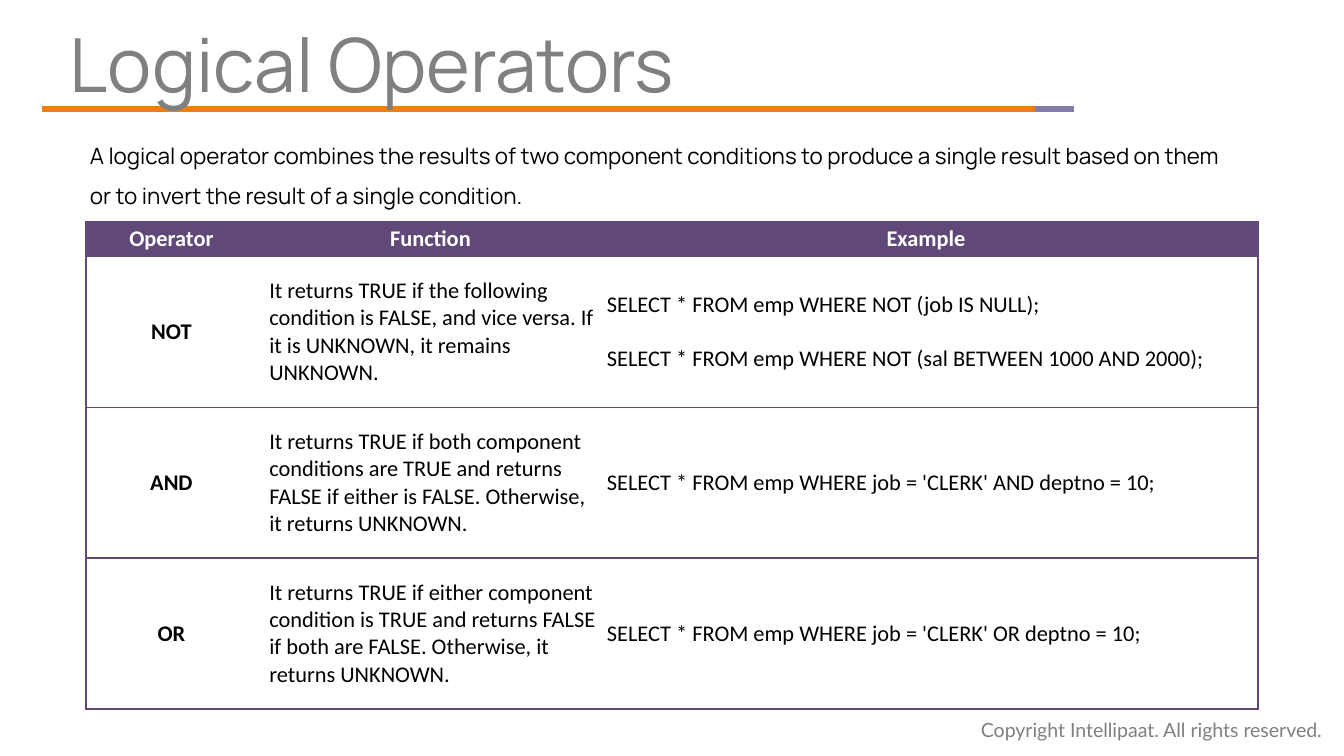
import pptx
import pptx.dml.color
import pptx.enum.shapes
import pptx.enum.text
import pptx.oxml
import pptx.oxml.ns
import pptx.util

Cm = pptx.util.Cm
Pt = pptx.util.Pt
RGBColor = pptx.dml.color.RGBColor
Align = pptx.enum.text.PP_ALIGN
Anchor = pptx.enum.text.MSO_ANCHOR
Fit = pptx.enum.text.MSO_AUTO_SIZE

BLACK = RGBColor(0x00, 0x00, 0x00)
WHITE = RGBColor(0xFF, 0xFF, 0xFF)
GREY = RGBColor(0x80, 0x80, 0x80)
ORANGE = RGBColor(0xF0, 0x7F, 0x09)
LILAC = RGBColor(0x82, 0x7C, 0xA8)
PURPLE = RGBColor(0x60, 0x48, 0x78)


def write(frame, text, font="Calibri", size=12, color=BLACK, bold=False,
          align=Align.LEFT, spacing=1.0, gap=0):
    for i, line in enumerate(text.split("\n")):
        para = frame.add_paragraph() if i else frame.paragraphs[0]
        para.alignment = align
        para.line_spacing = spacing
        para.space_before = Pt(gap if i else 0)
        run = para.add_run()
        run.text = line
        run.font.name = font
        run.font.size = Pt(size)
        run.font.bold = bold
        run.font.color.rgb = color


deck = pptx.Presentation()
deck.slide_width = Cm(25.4)
deck.slide_height = Cm(14.29)
slide = deck.slides.add_slide(deck.slide_layouts[5])
shapes = slide.shapes

notice = shapes.add_textbox(Cm(18.29), Cm(13.44), Cm(7.19), Cm(0.71)).text_frame
notice.word_wrap = False
write(notice, "Copyright Intellipaat. All rights reserved.",
      font="Lato", size=10.5, color=GREY)

for start, end, color in [(0.79, 19.56, ORANGE), (19.56, 20.29, LILAC)]:
    rule = shapes.add_connector(pptx.enum.shapes.MSO_CONNECTOR.STRAIGHT,
                                Cm(start), Cm(2.06), Cm(end), Cm(2.06))
    rule.line.color.rgb = color
    rule.line.width = Pt(3)
    rule._element.spPr.append(pptx.oxml.parse_xml(
        f"<a:effectLst {pptx.oxml.ns.nsdecls('a')}/>"))

title = shapes.title
title.left, title.top = Cm(1.32), Cm(0.41)
title.width, title.height = Cm(18.03), Cm(1.6)
title.text_frame.margin_left = 0
title.text_frame.vertical_anchor = Anchor.TOP
title.text_frame.auto_size = Fit.NONE
write(title.text_frame, "Logical Operators", font="Manrope", size=40,
      color=GREY, spacing=0.9)
shapes._spTree.append(title._element)

rows = [
    ("Operator", "Function", "Example"),
    ("NOT",
     "It returns TRUE if the following condition is FALSE, and vice versa. "
     "If it is UNKNOWN, it remains UNKNOWN.",
     "SELECT * FROM emp WHERE NOT (job IS NULL);\n"
     "SELECT * FROM emp WHERE NOT (sal BETWEEN 1000 AND 2000);"),
    ("AND",
     "It returns TRUE if both component conditions are TRUE and returns "
     "FALSE if either is FALSE. Otherwise, it returns UNKNOWN.",
     "SELECT * FROM emp WHERE job = 'CLERK' AND deptno = 10;"),
    ("OR",
     "It returns TRUE if either component condition is TRUE and returns "
     "FALSE if both are FALSE. Otherwise, it returns UNKNOWN.",
     "SELECT * FROM emp WHERE job = 'CLERK' OR deptno = 10;"),
]
widths = [3.41, 6.38, 12.35]
heights = [0.66, 2.85, 2.85, 2.85]
table = shapes.add_table(len(rows), len(widths), Cm(1.63), Cm(4.19),
                         Cm(sum(widths)), Cm(sum(heights))).table
for col, width in zip(table.columns, widths):
    col.width = Cm(width)
for row, height in zip(table.rows, heights):
    row.height = Cm(height)

for r, texts in enumerate(rows):
    for c, text in enumerate(texts):
        cell = table.cell(r, c)
        head = r == 0
        key = head or c == 0
        sides = {"L": c == 0, "R": c == len(widths) - 1, "T": True, "B": True}
        for side, drawn in sides.items():
            fill = (f'<a:solidFill><a:srgbClr val="{PURPLE}"/></a:solidFill>'
                    if drawn else "<a:noFill/>")
            cell._tc.get_or_add_tcPr().append(pptx.oxml.parse_xml(
                f'<a:ln{side} {pptx.oxml.ns.nsdecls("a")} w="{Pt(1)}">'
                f"{fill}</a:ln{side}>"))
        cell.fill.solid()
        cell.fill.fore_color.rgb = PURPLE if head else WHITE
        cell.vertical_anchor = Anchor.MIDDLE
        cell.margin_left = cell.margin_top = cell.margin_bottom = Cm(0.05)
        cell.margin_right = Cm(0.24 if key else 0.05)
        write(cell.text_frame, text, bold=key, gap=14.6,
              color=WHITE if head else BLACK,
              align=Align.CENTER if key else Align.LEFT)

intro = shapes.add_textbox(Cm(1.45), Cm(2.31), Cm(22.35), Cm(1.7)).text_frame
intro.word_wrap = True
write(intro, "A logical operator combines the results of two component "
      "conditions to produce a single result based on them or to invert "
      "the result of a single condition.", font="Manrope", spacing=1.5)

deck.save("out.pptx")
